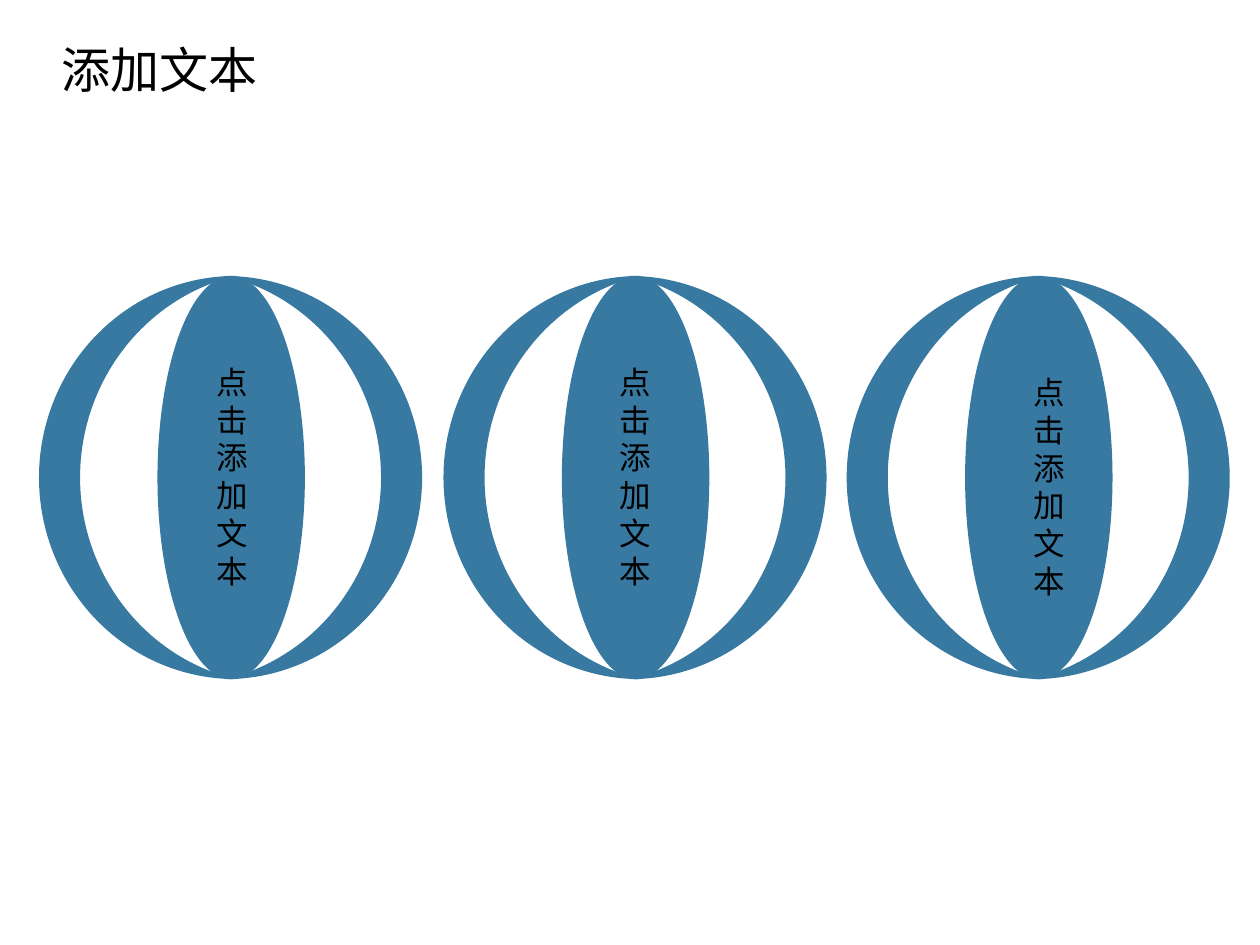
from dataclasses import dataclass

import pptx
import pptx.dml.color
import pptx.enum.shapes
import pptx.enum.text
import pptx.oxml.ns
import pptx.util
from lxml import etree

Inches = pptx.util.Inches
Pt = pptx.util.Pt
Kind = pptx.enum.shapes.MSO_SHAPE
Enum = pptx.enum.text


@dataclass(frozen=True)
class Theme:
    blue: str = "3779A1"
    ink: str = "000000"
    font: str = "Noto Sans CJK SC"
    head: int = 28
    body: int = 18


@dataclass(frozen=True)
class Ball:
    left: float
    text_x: float
    text_y: float


THEME = Theme()
TOP, HIGH = 2.19, 3.2
MOON, CORE = 1.56, 1.17
CORE_DX, MOON_DX = 0.94, 1.48
BEND = 0.209
BALLS = (
    Ball(0.31, 1.72, 2.81),
    Ball(3.52, 4.92, 2.81),
    Ball(6.72, 8.2, 2.89),
)


def rgb(code: str) -> pptx.dml.color.RGBColor:
    return pptx.dml.color.RGBColor.from_string(code)


def apply(item, values: dict) -> None:
    for name, value in values.items():
        setattr(item, name, value)


def write(shape, text: str, size: int, frame: dict, para: dict) -> None:
    apply(shape.text_frame, frame)
    line = shape.text_frame.paragraphs[0]
    apply(line, {"alignment": Enum.PP_ALIGN.LEFT, **para})
    run = line.add_run()
    run.text = text
    apply(run.font, {"name": THEME.font, "size": Pt(size)})
    run.font.color.rgb = rgb(THEME.ink)
    asian = etree.SubElement(run.font._element, pptx.oxml.ns.qn("a:ea"))
    asian.set("typeface", THEME.font)


def add_form(group, kind, left: float, wide: float, turn: int = 0):
    form = group.shapes.add_shape(
        kind, Inches(left), Inches(TOP), Inches(wide), Inches(HIGH)
    )
    form.fill.solid()
    form.fill.fore_color.rgb = rgb(THEME.blue)
    form.line.fill.background()
    form.shadow.inherit = False
    form.rotation = turn
    return form


def add_ball(slide, ball: Ball) -> None:
    group = slide.shapes.add_group_shape()
    for shift, turn in ((0, 0), (MOON_DX, 180)):
        moon = add_form(group, Kind.MOON, ball.left + shift, MOON, turn)
        moon.adjustments[0] = BEND
    add_form(group, Kind.OVAL, ball.left + CORE_DX, CORE)


def add_label(slide, ball: Ball) -> None:
    box = slide.shapes.add_textbox(
        Inches(ball.text_x), Inches(ball.text_y), Inches(0.27), Inches(1.92)
    )
    frame = {
        "word_wrap": True,
        "auto_size": Enum.MSO_AUTO_SIZE.SHAPE_TO_FIT_TEXT,
        "margin_left": 0,
        "margin_right": 0,
        "margin_top": Inches(0.07),
        "margin_bottom": Inches(0.05),
    }
    write(box, "点击添加文本", THEME.body, frame, {"line_spacing": Pt(21.6)})


def add_title(slide) -> None:
    title = slide.shapes.title
    apply(title, {
        "left": Inches(0.39),
        "top": Inches(0.31),
        "width": Inches(1.77),
        "height": Inches(0.57),
    })
    frame = {
        "word_wrap": False,
        "auto_size": Enum.MSO_AUTO_SIZE.SHAPE_TO_FIT_TEXT,
        "vertical_anchor": Enum.MSO_ANCHOR.TOP,
        "margin_top": 0,
        "margin_bottom": 0,
    }
    write(title, "添加文本", THEME.head, frame, {"space_before": Pt(0)})


def main() -> None:
    deck = pptx.Presentation()
    apply(deck, {"slide_width": Inches(10), "slide_height": Inches(7.5)})
    slide = deck.slides.add_slide(deck.slide_layouts[5])
    add_title(slide)
    for ball in BALLS:
        add_ball(slide, ball)
    for ball in BALLS:
        add_label(slide, ball)
    deck.save("out.pptx")


if __name__ == "__main__":
    main()
